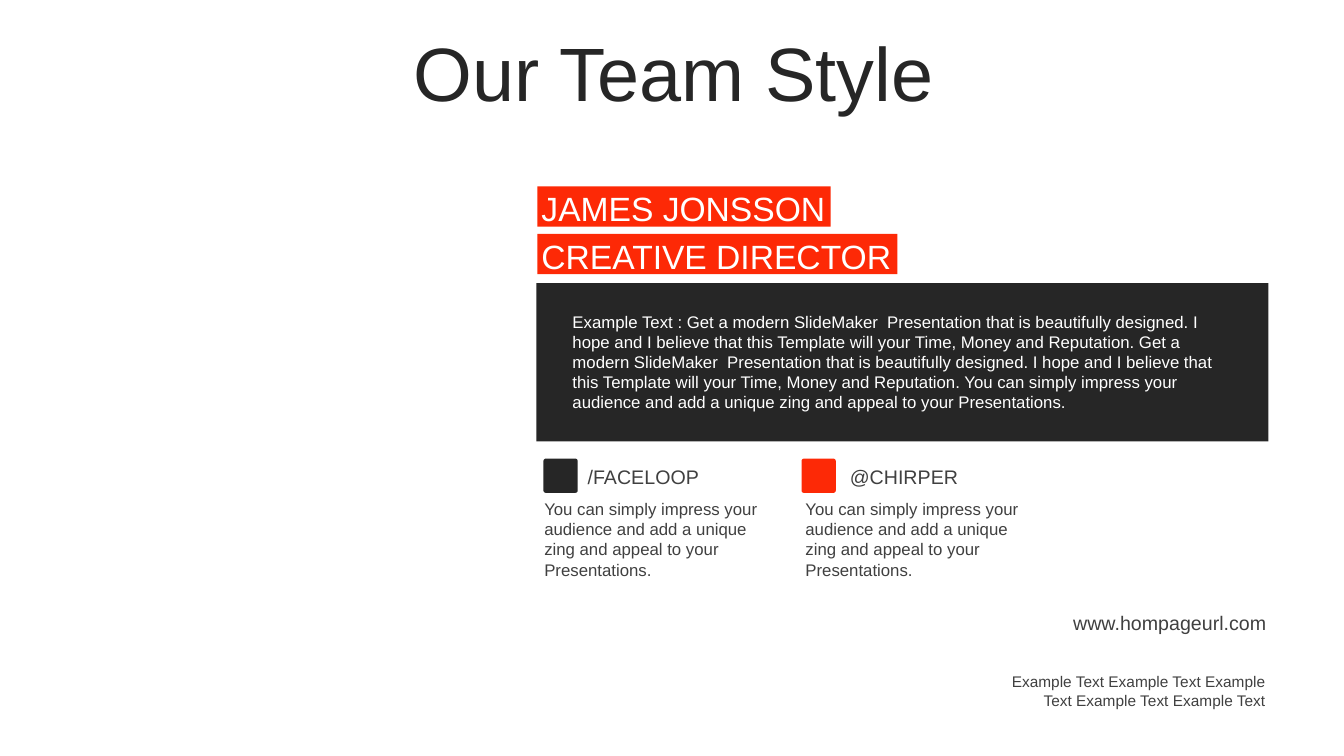
from dataclasses import dataclass
from pptx import Presentation
from pptx.dml.color import RGBColor as Color
from pptx.enum.shapes import MSO_SHAPE as Form
from pptx.enum.text import MSO_ANCHOR as Anchor, PP_ALIGN as Align
from pptx.util import Inches, Pt


@dataclass
class Theme:
    font: str = "Arial"
    red: str = "FD2906"
    dark: str = "262626"
    gray: str = "404040"
    white: str = "FFFFFF"
    title: int = 54
    name: int = 24
    link: int = 14
    body: int = 12
    foot: int = 11


look = Theme()
deck = Presentation()
deck.slide_width, deck.slide_height = Inches(13.33), Inches(7.5)
slide = deck.slides.add_slide(deck.slide_layouts[5])


def write(shape, text, size, color, align=Align.LEFT, anchor=Anchor.TOP):
    frame = shape.text_frame
    frame.word_wrap = True
    frame.vertical_anchor = anchor
    para = frame.paragraphs[0]
    para.alignment = align
    run = para.add_run()
    run.text = text
    run.font.name = look.font
    run.font.size = Pt(size)
    run.font.color.rgb = Color.from_string(color)
    return para


def block(form, place, color):
    shape = slide.shapes.add_shape(form, *map(Inches, place))
    shape.shadow.inherit = False
    shape.fill.solid()
    shape.fill.fore_color.rgb = Color.from_string(color)
    shape.line.fill.background()
    return shape


title = slide.shapes.title
title.left, title.top, title.width, title.height = map(Inches, (0.35, 0.37, 12.66, 0.79))
para = write(title, "Our Team Style", look.title, look.dark, Align.CENTER, Anchor.MIDDLE)
para.line_spacing = 0.9

for top, width, text in ((1.85, 2.91, "JAMES JONSSON"), (2.32, 3.57, "CREATIVE DIRECTOR")):
    tag = block(Form.RECTANGLE, (5.33, top, width, 0.4), look.red)
    frame = tag.text_frame
    frame.margin_left = Inches(0.04)
    frame.margin_top = frame.margin_right = frame.margin_bottom = 0
    write(tag, text, look.name, look.white).line_spacing = Pt(30)

block(Form.RECTANGLE, (5.32, 2.81, 7.26, 1.57), look.dark)
pitch = "Get a modern SlideMaker  Presentation that is beautifully designed. "
hope = "I hope and I believe that this Template will your Time, Money and Reputation. "
close = "You can simply impress your audience and add a unique zing and appeal to your Presentations."
about = slide.shapes.add_textbox(*map(Inches, (5.58, 3.04, 6.74, 1.11)))
write(about, "Example Text : " + (pitch + hope) * 2 + close, look.body, look.white)

for icon, label, note, text, color in (
    (5.39, 5.73, 5.3, "/FACELOOP", look.dark),
    (7.95, 8.33, 7.89, "@CHIRPER", look.red),
):
    badge = block(Form.ROUNDED_RECTANGLE, (icon, 4.55, 0.34, 0.34), color)
    badge.adjustments[0] = 0.07
    box = slide.shapes.add_textbox(*map(Inches, (label, 4.56, 1.5, 0.34)))
    write(box, text, look.link, look.gray, anchor=Anchor.MIDDLE)
    box = slide.shapes.add_textbox(*map(Inches, (note, 4.9, 2.36, 0.91)))
    write(box, close, look.body, look.gray)

for place, text, size in (
    ((10.33, 6.01, 2.33, 0.34), "www.hompageurl.com", look.link),
    ((9.64, 6.62, 3.01, 0.47), " ".join(["Example Text"] * 5), look.foot),
):
    box = slide.shapes.add_textbox(*map(Inches, place))
    write(box, text, size, look.gray, Align.RIGHT, Anchor.MIDDLE)

deck.save("out.pptx")
